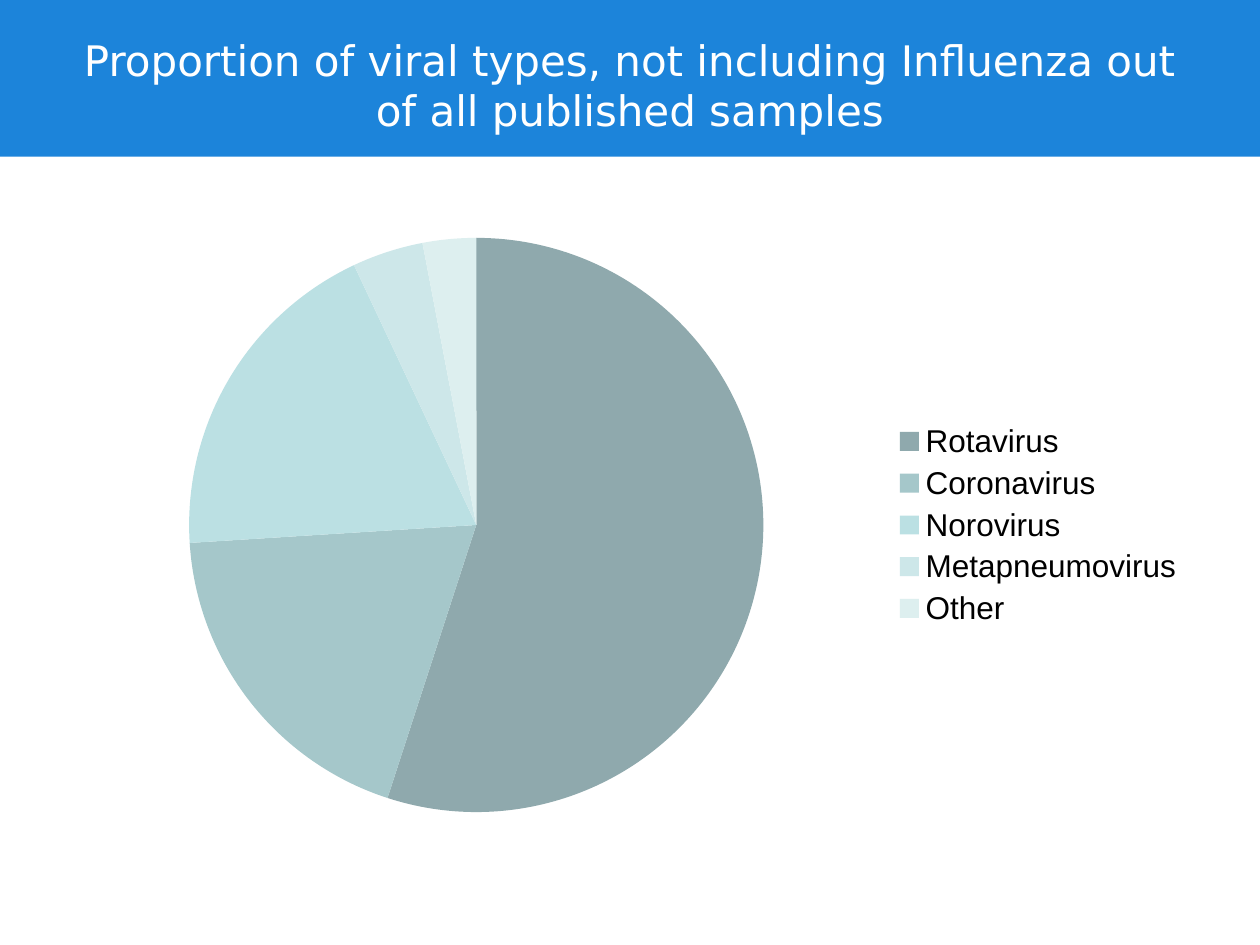
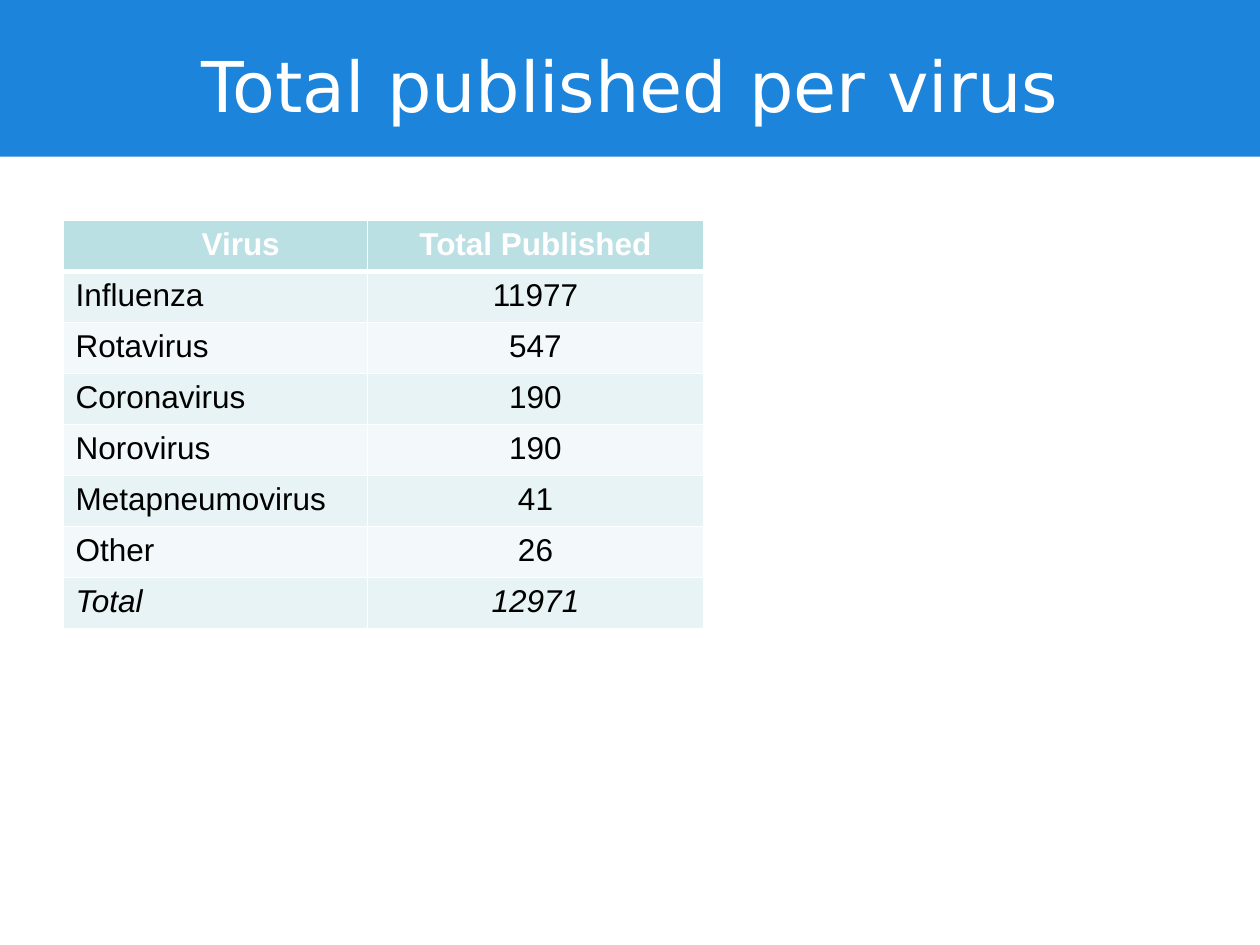
from dataclasses import dataclass

from lxml.etree import SubElement
from pptx import Presentation
from pptx.chart.data import CategoryChartData
from pptx.dml.color import RGBColor
from pptx.enum.chart import XL_CHART_TYPE as ChartType, XL_LEGEND_POSITION as LegendPosition
from pptx.enum.shapes import MSO_SHAPE as Shape
from pptx.enum.text import MSO_ANCHOR as Anchor, PP_ALIGN as Align
from pptx.oxml.ns import qn
from pptx.util import Pt

CHART_TITLE = "Proportion of viral types, not including Influenza out of all published samples"
TABLE_TITLE = "Total published per virus"
HEADINGS = ("Virus", "Total Published")
INFLUENZA = ("Influenza", 11977)
OTHER_VIRUSES = [
    ("Rotavirus", 547),
    ("Coronavirus", 190),
    ("Norovirus", 190),
    ("Metapneumovirus", 41),
    ("Other", 26),
]


@dataclass(frozen=True)
class Theme:
    band: str = "1C84DA"
    white: str = "FFFFFF"
    ink: str = "000000"
    header: str = "BBE0E3"
    stripes: tuple = ("E7F3F4", "F3F9FA")
    slices: tuple = ("8FA9AD", "A5C7CA", "BBE0E3", "CDE7E9", "DDEFEF")
    title_font: str = "DejaVu Sans"
    body_font: str = "Arial"
    long_title: int = 24
    short_title: int = 40
    body: int = 18


THEME = Theme()
SLIDE_W, SLIDE_H = 720, 540
BAND_H = 89.5
MARGIN, CONTENT_TOP = 36, 126
CONTENT_W = SLIDE_W - 2 * MARGIN
CHART_H = 348
COLUMN_WIDTHS = (174, 192)
ROW_H = 29.16
HEADING_INDENT = 72
THIN, THICK = 1, 3


def rgb(value):
    return RGBColor.from_string(value)


def paint(target, color):
    target.fill.solid()
    target.fill.fore_color.rgb = rgb(color)


def style_font(font, face, size, color, bold=False, italic=False):
    font.name, font.size = face, Pt(size)
    font.color.rgb = rgb(color)
    font.bold, font.italic = bold, italic


def write(frame, text, align=Align.LEFT, indent=0, face=THEME.body_font,
          size=THEME.body, color=THEME.ink, bold=False, italic=False):
    paragraph = frame.paragraphs[0]
    paragraph.alignment = align
    if indent:
        paragraph._p.get_or_add_pPr().set("marL", str(Pt(indent)))
    run = paragraph.add_run()
    run.text = text
    style_font(run.font, face, size, color, bold, italic)


def add_titled_slide(deck, text, size):
    slide = deck.slides.add_slide(deck.slide_layouts[5])
    band = slide.shapes.add_shape(Shape.RECTANGLE, 0, 0, Pt(SLIDE_W), Pt(BAND_H))
    band.shadow.inherit = False
    paint(band, THEME.band)
    band.line.fill.background()
    title = slide.shapes.title
    title._element.addprevious(band._element)
    title.left, title.top = Pt(MARGIN), Pt(12.24)
    title.width, title.height = Pt(CONTENT_W), Pt(72)
    title.text_frame.vertical_anchor = Anchor.MIDDLE
    write(title.text_frame, text, align=Align.CENTER, face=THEME.title_font,
          size=size, color=THEME.white)
    return slide


def add_share_chart(slide):
    total = sum(count for _, count in OTHER_VIRUSES)
    shares = CategoryChartData()
    shares.categories = [virus for virus, _ in OTHER_VIRUSES]
    shares.add_series("Series 1", [round(100 * count / total) for _, count in OTHER_VIRUSES])
    chart = slide.shapes.add_chart(ChartType.PIE, Pt(MARGIN), Pt(CONTENT_TOP),
                                   Pt(CONTENT_W), Pt(CHART_H), shares).chart
    style_font(chart.font, THEME.body_font, THEME.body, THEME.ink)
    chart.has_title = False
    chart.has_legend = True
    chart.legend.position = LegendPosition.RIGHT
    chart.legend.include_in_layout = False
    for index, color in enumerate(THEME.slices):
        paint(chart.plots[0].series[0].points[index].format, color)


def set_borders(cell, **widths):
    properties = cell._tc.get_or_add_tcPr()
    for side in "LRTB":
        line = SubElement(properties, qn(f"a:ln{side}"), w=str(Pt(widths.get(side, THIN))))
        fill = SubElement(line, qn("a:solidFill"))
        SubElement(fill, qn("a:srgbClr"), val=THEME.white)


def add_count_table(slide):
    viruses = [INFLUENZA, *OTHER_VIRUSES]
    rows = [HEADINGS, *viruses, ("Total", sum(count for _, count in viruses))]
    table = slide.shapes.add_table(len(rows), len(HEADINGS), Pt(MARGIN), Pt(CONTENT_TOP),
                                   Pt(sum(COLUMN_WIDTHS)), Pt(ROW_H * len(rows))).table
    for column, width in zip(table.columns, COLUMN_WIDTHS):
        column.width = Pt(width)
    for r, values in enumerate(rows):
        table.rows[r].height = Pt(ROW_H)
        heading = r == 0
        for c, value in enumerate(values):
            cell = table.cell(r, c)
            set_borders(cell, T=THICK if r == 1 else THIN, B=THICK if heading else THIN)
            paint(cell, THEME.header if heading else THEME.stripes[(r - 1) % 2])
            write(cell.text_frame, str(value),
                  align=Align.CENTER if c else Align.LEFT,
                  indent=HEADING_INDENT if heading and c == 0 else 0,
                  color=THEME.white if heading else THEME.ink,
                  bold=heading, italic=r == len(rows) - 1)


def main():
    deck = Presentation()
    deck.slide_width, deck.slide_height = Pt(SLIDE_W), Pt(SLIDE_H)
    add_share_chart(add_titled_slide(deck, CHART_TITLE, THEME.long_title))
    add_count_table(add_titled_slide(deck, TABLE_TITLE, THEME.short_title))
    deck.save("out.pptx")


if __name__ == "__main__":
    main()
